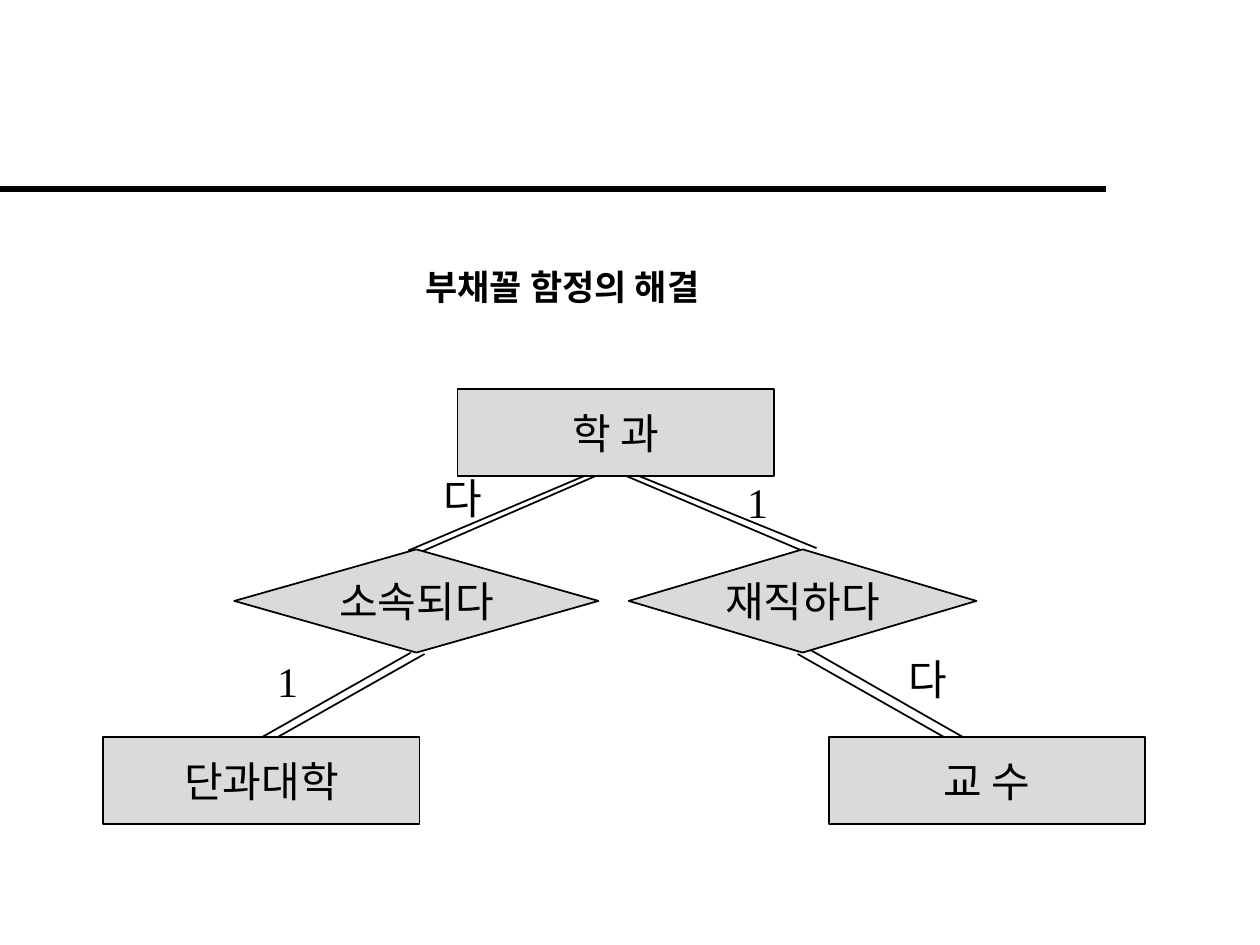
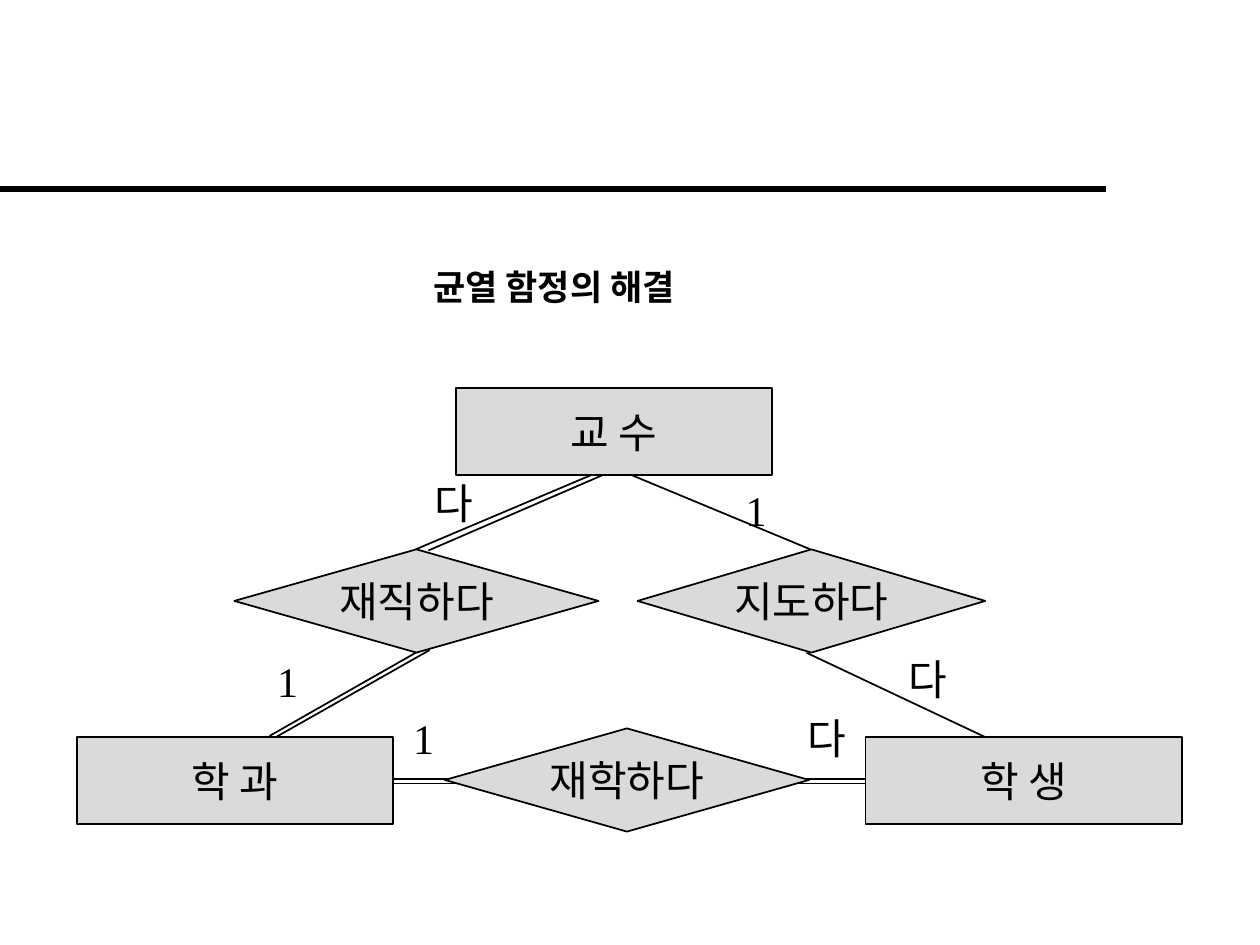
from dataclasses import dataclass

from lxml import etree
from pptx import Presentation
from pptx.dml.color import RGBColor
from pptx.enum.shapes import MSO_CONNECTOR, MSO_SHAPE
from pptx.enum.text import MSO_ANCHOR, PP_ALIGN
from pptx.oxml.ns import qn
from pptx.util import Pt


@dataclass(frozen=True)
class Theme:
    ink: RGBColor = RGBColor(0x00, 0x00, 0x00)
    box_fill: RGBColor = RGBColor(0xDA, 0xDA, 0xDA)
    font: str = "Times New Roman"
    title_size: int = 20
    text_size: int = 24
    outline: int = 1
    rule: int = 4


THEME = Theme()
ENTITY_SIZE = (180.7, 49.7)
RELATION_HEIGHT = 59
WIDE, NARROW = 208.1, 198.7
UPPER_Y, LOWER_Y = 313.9, 421.2
LABEL_HEIGHT = 38.9
LABEL_WIDTHS = {"1": 26, "다": 36}


def set_text(tf, text, size, bold=False):
    tf.text = text
    p = tf.paragraphs[0]
    font = p.runs[0].font
    font.name, font.size, font.bold = THEME.font, Pt(size), bold
    font.color.rgb = THEME.ink
    return p


def add_line(s, start, end, width=THEME.outline):
    line = s.shapes.add_connector(
        MSO_CONNECTOR.STRAIGHT, *(Pt(v) for v in (*start, *end)))
    line.line.color.rgb = THEME.ink
    line.line.width = Pt(width)
    etree.SubElement(line._element.spPr, qn("a:effectLst"))


def add_title(s, text, indent):
    tb = s.shapes.add_textbox(Pt(36), Pt(148.3), Pt(654.5), Pt(31.7))
    tb.text_frame.word_wrap = True
    p = set_text(tb.text_frame, text, THEME.title_size, bold=True)
    p._p.get_or_add_pPr().set("marL", str(Pt(indent)))


def add_box(s, kind, text, x, y, w, h):
    sp = s.shapes.add_shape(kind, Pt(x), Pt(y), Pt(w), Pt(h))
    sp.shadow.inherit = False
    sp.fill.solid()
    sp.fill.fore_color.rgb = THEME.box_fill
    sp.line.color.rgb = THEME.ink
    sp.line.width = Pt(THEME.outline)
    tf = sp.text_frame
    tf.word_wrap = False
    tf.vertical_anchor = MSO_ANCHOR.MIDDLE
    set_text(tf, text, THEME.text_size).alignment = PP_ALIGN.CENTER


def add_entity(s, text, x, y):
    add_box(s, MSO_SHAPE.RECTANGLE, text, x, y, *ENTITY_SIZE)


def add_relation(s, text, x, y, width):
    add_box(s, MSO_SHAPE.DIAMOND, text, x, y, width, RELATION_HEIGHT)


def add_cardinality(s, text, x, y):
    tb = s.shapes.add_textbox(Pt(x), Pt(y), Pt(LABEL_WIDTHS[text]), Pt(LABEL_HEIGHT))
    tb.text_frame.word_wrap = False
    set_text(tb.text_frame, text, THEME.text_size).line_spacing = 1.1


def add_diagram_slide(prs, title, indent, links, entities, relations, cardinalities):
    """Draw links first so that the boxes cover their ends."""
    s = prs.slides.add_slide(prs.slide_layouts[6])
    add_line(s, (0, 108), (632.2, 108), THEME.rule)
    add_title(s, title, indent)
    for add, items in ((add_line, links), (add_entity, entities),
                       (add_relation, relations), (add_cardinality, cardinalities)):
        for item in items:
            add(s, *item)


def main():
    prs = Presentation()
    prs.slide_width, prs.slide_height = Pt(720), Pt(540)

    add_diagram_slide(
        prs, "부채꼴 함정의 해결", 200,
        links=[
            ((337, 270.7), (233.3, 314.6)), ((343.4, 270.7), (240.5, 315.4)),
            ((234.7, 373), (149.8, 421.2)), ((242.6, 373.7), (154.8, 423.4)),
            ((460.1, 315.4), (356.4, 271.4)), ((466.6, 313.2), (363.6, 271.4)),
            ((455.8, 373.7), (540.7, 421.9)), ((460.8, 370.1), (551.5, 421.9)),
        ],
        entities=[("학 과", 261.4, 222.5), ("단과대학", 59, LOWER_Y),
                  ("교 수", 473.8, LOWER_Y)],
        relations=[("재직하다", 359.3, UPPER_Y, NARROW),
                   ("소속되다", 133.9, UPPER_Y, WIDE)],
        cardinalities=[("다", 246.2, 263.5), ("1", 419.8, 265.7),
                       ("1", 151.2, 367.9), ("다", 511.9, 367.2)],
    )

    add_diagram_slide(
        prs, "균열 함정의 해결", 204.5,
        links=[
            ((213.1, 445), (511.2, 445)), ((213.1, 447.8), (511.2, 447.8)),
            ((341.3, 270), (237.6, 313.9)), ((347.8, 270), (244.8, 314.6)),
            ((239, 372.2), (154.1, 420.5)), ((245.5, 371.5), (157.7, 421.2)),
            ((360.7, 271.4), (463, 313.9)), ((460.8, 373), (563, 421.2)),
        ],
        entities=[("교 수", 260.6, 221.8), ("학 과", 43.9, LOWER_Y),
                  ("학 생", 494.6, LOWER_Y)],
        relations=[("지도하다", 364.3, UPPER_Y, NARROW),
                   ("재직하다", 133.9, UPPER_Y, WIDE),
                   ("재학하다", 254.2, 416.2, WIDE)],
        cardinalities=[("다", 241.2, 266.4), ("1", 419, 270.7),
                       ("1", 151.2, 367.9), ("다", 511.9, 367.2),
                       ("1", 229, 401), ("다", 454.3, 401)],
    )
    prs.save("out.pptx")


if __name__ == "__main__":
    main()
